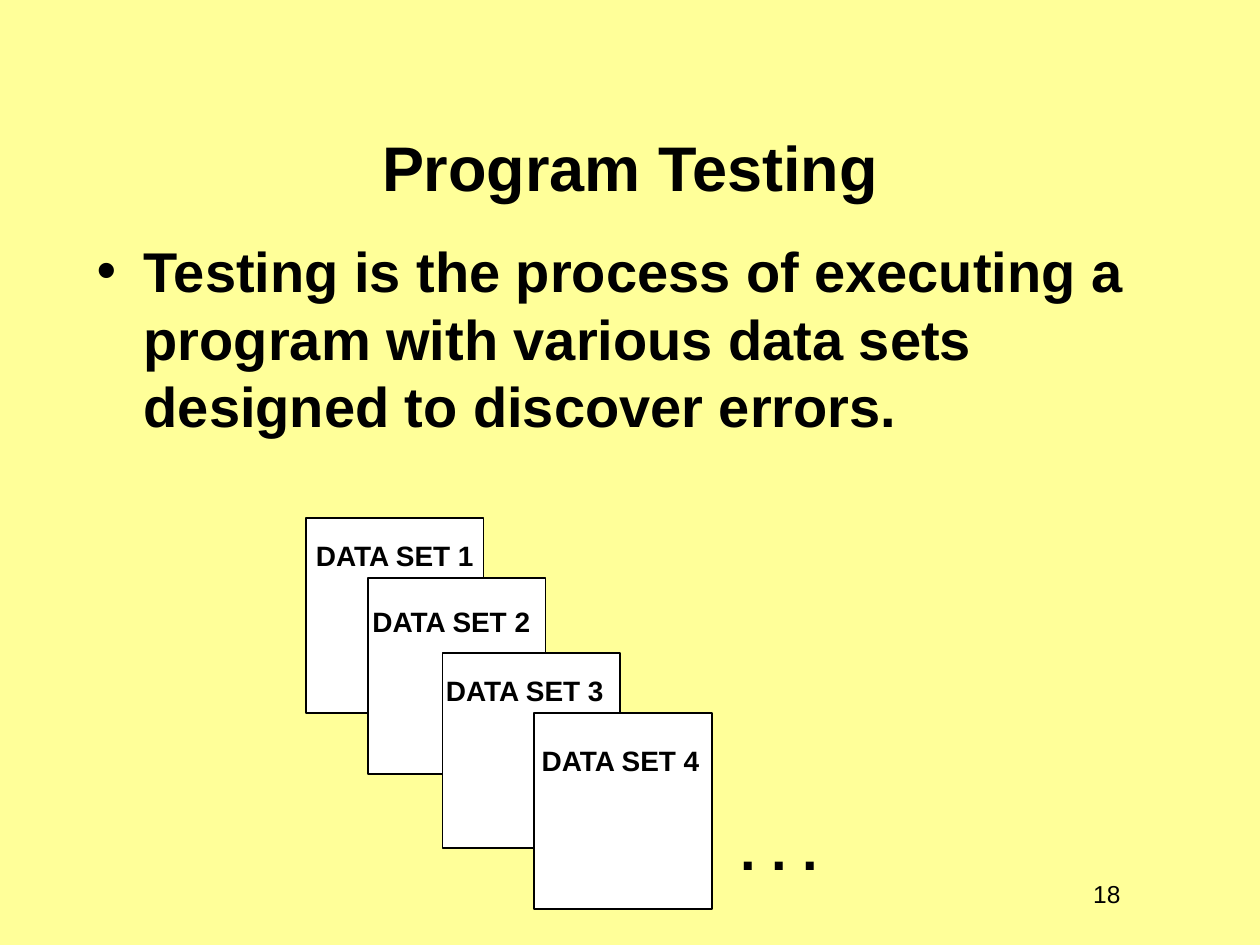
from dataclasses import dataclass

from lxml.etree import SubElement
from pptx import Presentation
from pptx.dml.color import RGBColor
from pptx.enum.shapes import MSO_SHAPE
from pptx.enum.text import MSO_ANCHOR as Anchor, PP_ALIGN as Align
from pptx.oxml.ns import qn
from pptx.util import Cm, Pt

COLOURS = {"background": "FFFF99", "card": "FFFFFF", "ink": "000000"}
FONT = "Arial"
CARD_WIDTH, CARD_HEIGHT = 3.58, 3.94
LABEL_WIDTH, LABEL_HEIGHT = 3.81, 0.94


@dataclass
class DataSet:
    """A card and its label, placed in centimetres."""
    number: int
    left: float
    top: float
    label_left: float
    label_top: float


DATA_SETS = [
    DataSet(1, 6.17, 10.44, 6.12, 10.74),
    DataSet(2, 7.42, 11.66, 7.26, 12.07),
    DataSet(3, 8.92, 13.16, 8.74, 13.46),
    DataSet(4, 10.77, 14.38, 10.67, 14.86),
]


def colour(name: str) -> RGBColor:
    """Return the named colour."""
    return RGBColor.from_string(COLOURS[name])


def add_text(slide, text: str, left: float, top: float, width: float, height: float, *,
             size: float, bold: bool = True, align=Align.LEFT, anchor=Anchor.TOP,
             wrap: bool = False, bullet: str = "", indent: float = 0, before: float = 0):
    """Add one paragraph of text in a box given in centimetres."""
    shape = slide.shapes.add_textbox(Cm(left), Cm(top), Cm(width), Cm(height))
    frame = shape.text_frame
    frame.word_wrap = wrap
    frame.vertical_anchor = anchor
    paragraph = frame.paragraphs[0]
    paragraph.alignment = align
    paragraph.space_before = Pt(before)
    run = paragraph.add_run()
    run.text = text
    run.font.name = FONT
    run.font.size = Pt(size)
    run.font.bold = bold
    run.font.color.rgb = colour("ink")
    if bullet:
        properties = paragraph._p.get_or_add_pPr()
        properties.set("marL", str(Cm(indent)))
        properties.set("indent", str(-Cm(indent)))
        SubElement(properties, qn("a:buFont"), typeface=FONT)
        SubElement(properties, qn("a:buChar"), char=bullet)
    return shape


def add_data_set(slide, data_set: DataSet) -> None:
    """Draw a card with its label."""
    card = slide.shapes.add_shape(MSO_SHAPE.RECTANGLE, Cm(data_set.left), Cm(data_set.top),
                                  Cm(CARD_WIDTH), Cm(CARD_HEIGHT))
    card.shadow.inherit = False
    card.fill.solid()
    card.fill.fore_color.rgb = colour("card")
    card.line.color.rgb = colour("ink")
    card.line.width = Pt(1)
    add_text(slide, f"DATA SET {data_set.number}", data_set.label_left, data_set.label_top,
             LABEL_WIDTH, LABEL_HEIGHT, size=16)


def main() -> None:
    """Build and save the slide."""
    presentation = Presentation()
    presentation.slide_width, presentation.slide_height = Cm(25.4), Cm(19.05)
    slide = presentation.slides.add_slide(presentation.slide_layouts[6])
    slide.background.fill.solid()
    slide.background.fill.fore_color.rgb = colour("background")

    add_text(slide, "18", 21.72, 17.6, 1.12, 0.84, size=14, bold=False,
             align=Align.RIGHT, anchor=Anchor.MIDDLE)
    add_text(slide, "Program Testing", 1.9, 2.34, 21.6, 1.9, size=36,
             align=Align.CENTER, anchor=Anchor.BOTTOM, wrap=True)
    add_text(slide, "Testing is the process of executing a program with various data sets "
             "designed to discover errors.", 1.7, 4.65, 21.8, 12.9, size=32,
             wrap=True, bullet="\u2022", indent=0.95, before=6.4)
    for data_set in DATA_SETS:
        add_data_set(slide, data_set)
    add_text(slide, ". . .", 14.68, 16.3, 2.2, 1.5, size=32)

    presentation.save("out.pptx")


main()
